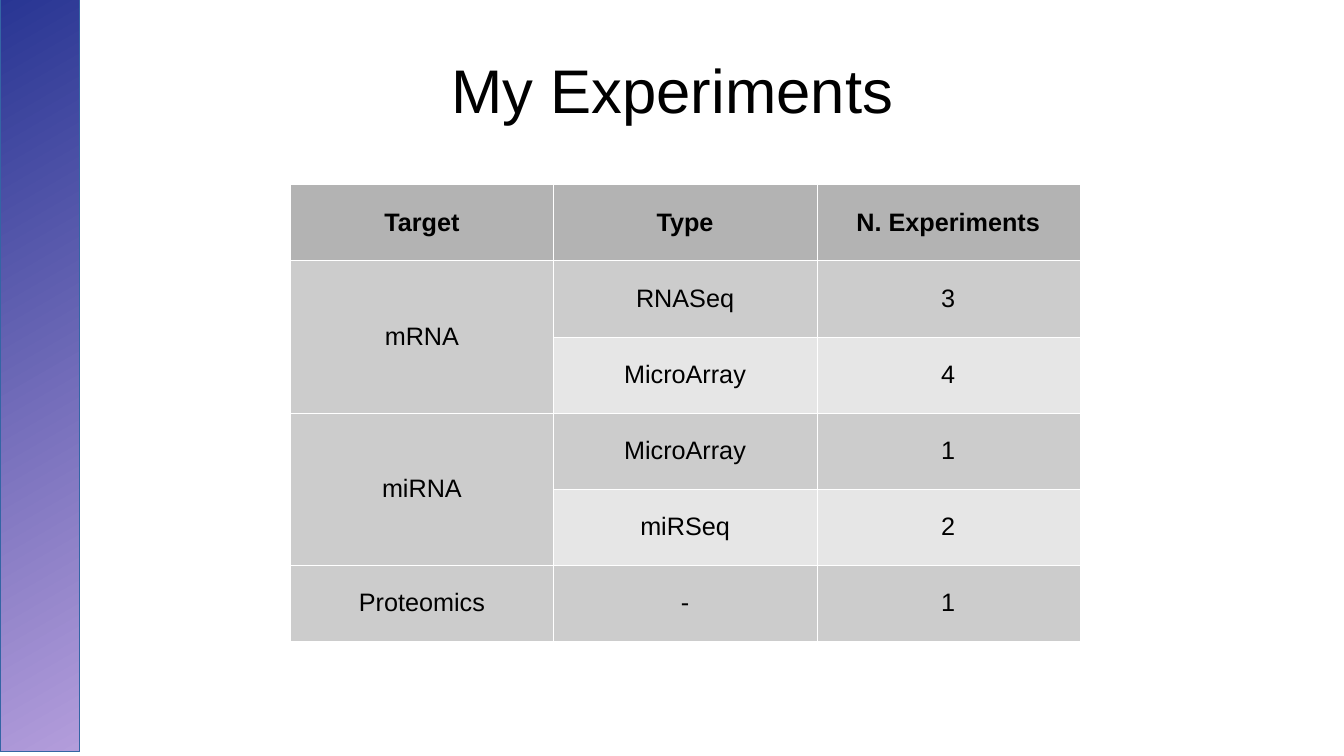
from dataclasses import dataclass

from lxml.etree import SubElement
from pptx import Presentation
from pptx.dml.color import RGBColor
from pptx.enum.shapes import MSO_SHAPE
from pptx.enum.text import MSO_ANCHOR, PP_ALIGN
from pptx.oxml.ns import qn
from pptx.util import Inches, Pt


@dataclass(frozen=True)
class Theme:
    font: str = "Arial"
    title_size: int = 44
    table_size: int = 18
    text: str = "000000"
    header: str = "B3B3B3"
    dark_row: str = "CCCCCC"
    light_row: str = "E6E6E6"
    border: str = "FFFFFF"
    bar_top: str = "283593"
    bar_bottom: str = "B39DDB"
    bar_line: str = "3465A4"


theme = Theme()


def write_text(text_frame, text, size, bold=False, line_spacing=None):
    paragraph = text_frame.paragraphs[0]
    paragraph.alignment = PP_ALIGN.CENTER
    if line_spacing:
        paragraph.line_spacing = line_spacing
    run = paragraph.add_run()
    run.text = text
    run.font.name = theme.font
    run.font.size = Pt(size)
    run.font.bold = bold
    run.font.color.rgb = RGBColor.from_string(theme.text)


def add_borders(cell):
    properties = cell._tc.get_or_add_tcPr()
    for side in ("a:lnL", "a:lnR", "a:lnT", "a:lnB"):
        line = SubElement(properties, qn(side), w=str(Pt(0.06)))
        fill = SubElement(line, qn("a:solidFill"))
        SubElement(fill, qn("a:srgbClr"), val=theme.border)


presentation = Presentation()
presentation.slide_width = Inches(13.33)
presentation.slide_height = Inches(7.5)
slide = presentation.slides.add_slide(presentation.slide_layouts[5])

# Experiments table: None continues the cell above
rows = [
    ("Target", "Type", "N. Experiments"),
    ("mRNA", "RNASeq", "3"),
    (None, "MicroArray", "4"),
    ("miRNA", "MicroArray", "1"),
    (None, "miRSeq", "2"),
    ("Proteomics", "-", "1"),
]
table = slide.shapes.add_table(
    len(rows), len(rows[0]), Inches(2.88), Inches(1.83), Inches(7.83), Inches(4.53)
).table
table.horz_banding = False

for row_index, row in enumerate(rows):
    if row_index == 0:
        row_color = theme.header
    else:
        row_color = theme.dark_row if row_index % 2 else theme.light_row
    for column_index, text in enumerate(row):
        cell = table.cell(row_index, column_index)
        add_borders(cell)
        cell.fill.solid()
        cell.fill.fore_color.rgb = RGBColor.from_string(row_color)
        cell.vertical_anchor = MSO_ANCHOR.MIDDLE
        if text is None:
            table.cell(row_index - 1, column_index).merge(cell)
        else:
            write_text(cell.text_frame, text, theme.table_size, bold=row_index == 0)

# Title
title = slide.shapes.title
title.left, title.top = Inches(0.67), Inches(0.3)
title.width, title.height = Inches(12), Inches(1.25)
title_frame = title.text_frame
title_frame.vertical_anchor = MSO_ANCHOR.MIDDLE
title_frame.margin_left = title_frame.margin_right = 0
title_frame.margin_top = title_frame.margin_bottom = 0
write_text(title_frame, "My Experiments", theme.title_size, line_spacing=0.9)

# Gradient side bar
side_bar = slide.shapes.add_shape(
    MSO_SHAPE.RECTANGLE, 0, Inches(-0.04), Inches(0.79), presentation.slide_height
)
side_bar.shadow.inherit = False
side_bar.fill.gradient()
side_bar.fill.gradient_angle = 300
for stop, color in zip(side_bar.fill.gradient_stops, (theme.bar_top, theme.bar_bottom)):
    stop.color.rgb = RGBColor.from_string(color)
side_bar.line.color.rgb = RGBColor.from_string(theme.bar_line)
side_bar.line.width = Pt(0)

presentation.save("out.pptx")
